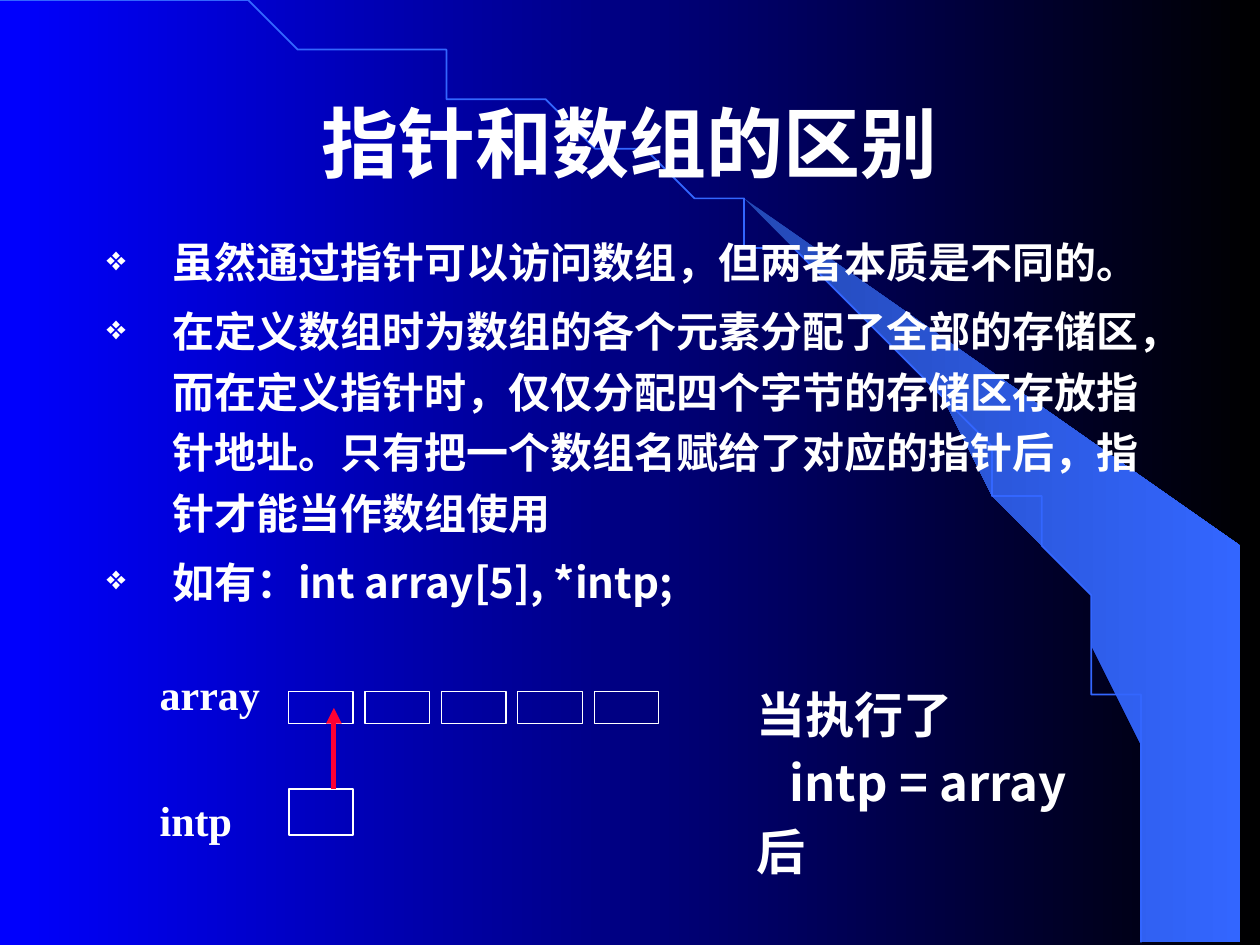
import math

import lxml.etree
import pptx
import pptx.dml.color
import pptx.enum.dml
import pptx.enum.shapes
import pptx.enum.text
import pptx.oxml.ns
import pptx.util

Cm = pptx.util.Cm
Pt = pptx.util.Pt
ALIGN = pptx.enum.text.PP_ALIGN
ANCHOR = pptx.enum.text.MSO_ANCHOR
AUTO_SIZE = pptx.enum.text.MSO_AUTO_SIZE
SHAPES = pptx.enum.shapes.MSO_SHAPE

COLORS = {
    "blue": "0000FF",
    "black": "000000",
    "beam_dark": "2449B6",
    "beam": "3366FF",
    "text": "FFFFFF",
    "arrow": "FF0033",
}
SANS = "Noto Sans CJK SC"
SERIF = "Times New Roman"
BEAM_CM = [
    (23.37, 19), (25.37, 19.02), (25.37, 10.74), (14.96, 4.39), (15.85, 5.05),
    (16.59, 5.64), (17.4, 6.35), (18.19, 7.11), (19.35, 8.38), (20.4, 9.75),
    (21.13, 10.95), (21.79, 12.17), (22.3, 13.41), (22.68, 14.53),
    (22.94, 15.47), (23.19, 16.66), (23.29, 17.68),
]
ARC_WIDTH, ARC_HEIGHT, ARC_STEPS = 23.37, 19.02, 90
CELL_COUNT, CELL_LEFT, CELL_PITCH, CELL_WIDTH = 5, 5.82, 1.54, 1.3
ARRAY_TOP, INTP_TOP = 13.94, 15.9

POINTS = [
    "虽然通过指针可以访问数组，但两者本质是不同的。",
    "在定义数组时为数组的各个元素分配了全部的存储区，而在定义指针时，仅仅分配四个字节的"
    "存储区存放指针地址。只有把一个数组名赋给了对应的指针后，指针才能当作数组使用",
    "如有：int array[5], *intp;",
]


def rgb(name):
    return pptx.dml.color.RGBColor.from_string(COLORS[name])


def add_xml(parent, tag, **attributes):
    return lxml.etree.SubElement(parent, pptx.oxml.ns.qn(tag), attributes)


def set_gradient(fill, start, end):
    fill.gradient()
    fill.gradient_angle = 0
    for stop, position, color in zip(fill.gradient_stops, (0, 1), (start, end)):
        stop.position = position
        stop.color.rgb = rgb(color)


def set_line(line, color, width):
    line.color.rgb = rgb(color)
    line.width = Pt(width)


def add_outline(slide, points, close):
    builder = slide.shapes.build_freeform(*points[0], scale=Cm(1))
    builder.add_line_segments(points[1:], close=close)
    outline = builder.convert_to_shape()
    outline.shadow.inherit = False
    return outline


def add_backdrop(slide):
    set_gradient(slide.background.fill, "blue", "black")
    beam = add_outline(slide, BEAM_CM, close=True)
    set_gradient(beam.fill, "beam_dark", "beam")
    beam.line.fill.background()

    angles = [math.pi / 2 * step / ARC_STEPS for step in range(ARC_STEPS + 1)]
    horizon_points = [
        (ARC_WIDTH * math.sin(angle), ARC_HEIGHT * (1 - math.cos(angle)))
        for angle in angles
    ]
    horizon = add_outline(slide, horizon_points, close=False)
    horizon.fill.background()
    set_line(horizon.line, "beam", 1)


def add_text(slide, box, lines, size, font, frame_format=None, line_format=None,
             bullet=None, indents=None):
    """Add bold white paragraphs; indents maps a line number to a left margin in cm."""
    frame = slide.shapes.add_textbox(*map(Cm, box)).text_frame
    for name, value in {"word_wrap": True, **(frame_format or {})}.items():
        setattr(frame, name, value)
    for number, line in enumerate(lines):
        paragraph = frame.paragraphs[0] if number == 0 else frame.add_paragraph()
        if number:
            paragraph.space_before = Pt(size * 0.2)
        for name, value in (line_format or {}).items():
            setattr(paragraph, name, value)
        properties = paragraph._p.get_or_add_pPr()
        if indents and number in indents:
            properties.set("marL", str(Cm(indents[number])))
        if bullet:
            properties.set("marL", str(Cm(1.32)))
            properties.set("indent", str(-Cm(1.32)))
            add_xml(add_xml(properties, "a:buClr"), "a:srgbClr", val=COLORS["text"])
            add_xml(properties, "a:buSzPct", val="80000")
            add_xml(properties, "a:buChar", char=bullet)
        run = paragraph.add_run()
        run.text = line
        font_format = {"name": font, "size": Pt(size), "bold": True}
        for name, value in font_format.items():
            setattr(run.font, name, value)
        run.font.color.rgb = rgb("text")
        add_xml(run._r.get_or_add_rPr(), "a:ea", typeface=SANS)


def add_cell(slide, left, top, height, line_width):
    cell = slide.shapes.add_shape(
        SHAPES.RECTANGLE, Cm(left), Cm(top), Cm(CELL_WIDTH), Cm(height))
    cell.shadow.inherit = False
    cell.fill.background()
    set_line(cell.line, "text", line_width)


def add_arrow(slide, start, end):
    arrow = slide.shapes.add_connector(
        pptx.enum.shapes.MSO_CONNECTOR.STRAIGHT, *map(Cm, start + end))
    set_line(arrow.line, "arrow", 3)
    add_xml(arrow.line._get_or_add_ln(), "a:tailEnd", type="triangle")
    add_xml(arrow._element.spPr, "a:effectLst")


def add_memory_diagram(slide):
    for index in range(CELL_COUNT):
        add_cell(slide, CELL_LEFT + index * CELL_PITCH, ARRAY_TOP, 0.64, 0.75)
    add_cell(slide, CELL_LEFT, INTP_TOP, 0.94, 1)
    for label, top in (("array", 13.36), ("intp", INTP_TOP)):
        add_text(slide, (2.97, top, 2.82, 1.27), [label], 24, SERIF,
                 {"auto_size": AUTO_SIZE.SHAPE_TO_FIT_TEXT})


def main():
    presentation = pptx.Presentation()
    presentation.slide_width = Cm(25.4)
    presentation.slide_height = Cm(19.05)
    slide = presentation.slides.add_slide(presentation.slide_layouts[6])

    add_backdrop(slide)
    add_text(slide, (1.9, 1.27, 21.6, 3.18), ["指针和数组的区别"], 44, "Arial",
             {"vertical_anchor": ANCHOR.MIDDLE}, {"alignment": ALIGN.CENTER})
    add_text(slide, (1.9, 4.45, 21.6, 8.89), POINTS, 24, SANS,
             line_format={"line_spacing": 1.2}, bullet="❖")
    add_memory_diagram(slide)
    add_text(slide, (15.01, 13.67, 10.39, 4.29), ["当执行了", "intp = array", "后"],
             28, SANS, {"auto_size": AUTO_SIZE.SHAPE_TO_FIT_TEXT}, indents={1: 0.66})
    add_arrow(slide, (6.73, INTP_TOP), (6.73, 14.27))

    presentation.save("out.pptx")


if __name__ == "__main__":
    main()
